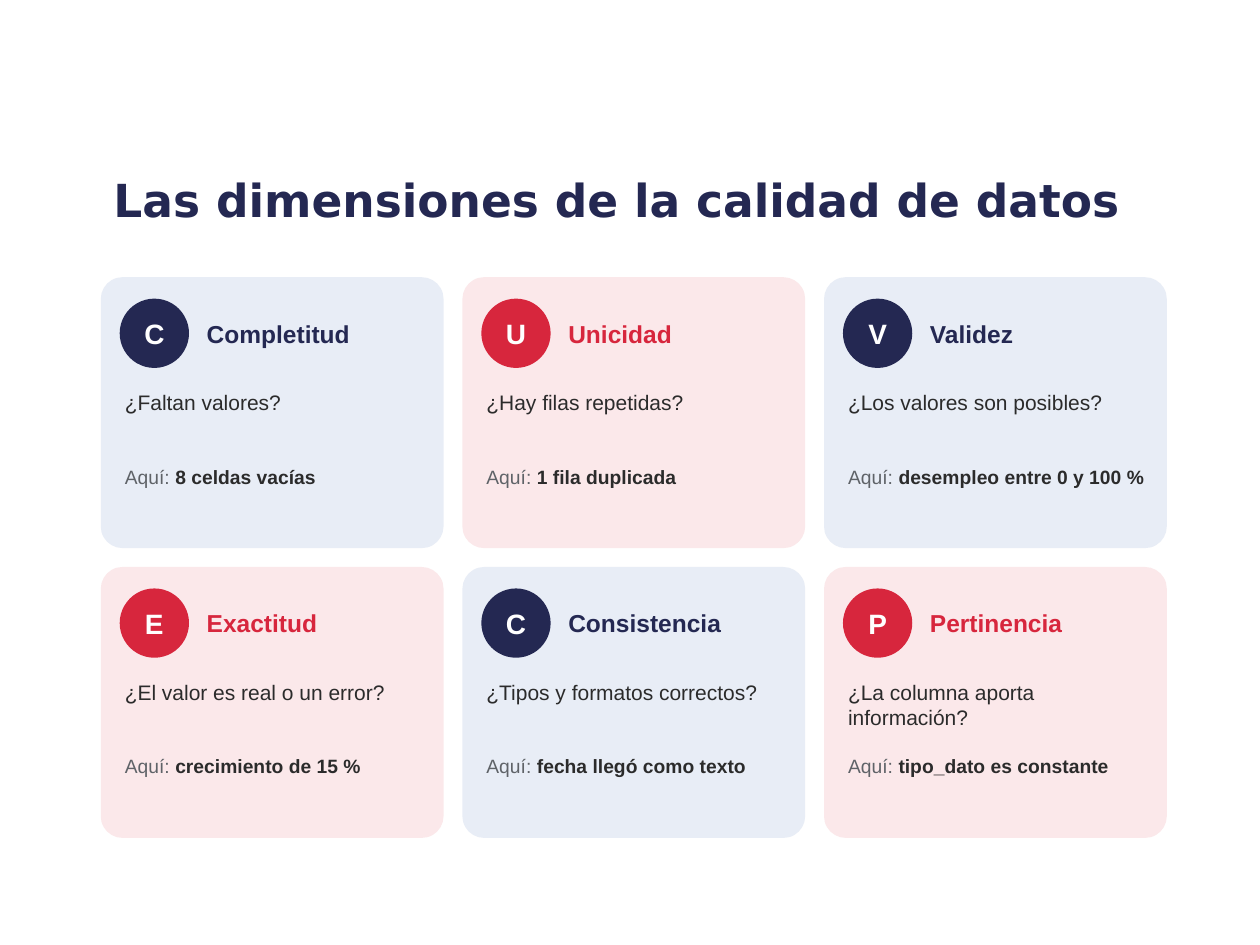
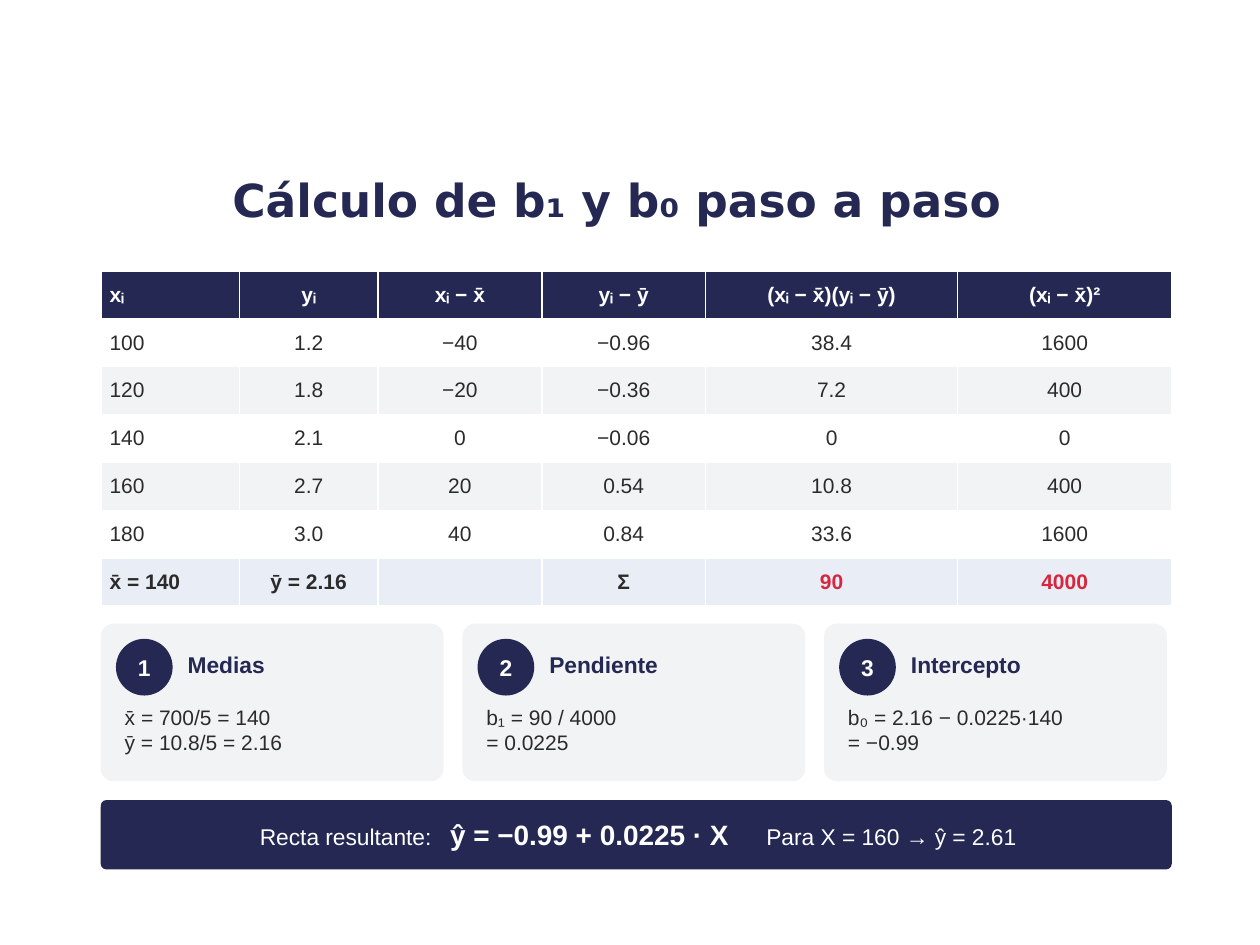
"""Build two slides: data quality dimensions and a step-by-step regression."""
import lxml.etree
import pptx
import pptx.dml.color
import pptx.enum.shapes
import pptx.enum.text
import pptx.oxml.ns
import pptx.util

RGB = pptx.dml.color.RGBColor
NAVY = RGB(0x24, 0x28, 0x52)
RED = RGB(0xD7, 0x26, 0x3D)
PALE_BLUE = RGB(0xE8, 0xED, 0xF6)
PALE_RED = RGB(0xFB, 0xE8, 0xEA)
PALE_GREY = RGB(0xF2, 0xF3, 0xF5)
GREY = RGB(0x5F, 0x63, 0x68)
INK = RGB(0x2B, 0x2B, 0x2B)
WHITE = RGB(0xFF, 0xFF, 0xFF)

QUALITY_TITLE = "Las dimensiones de la calidad de datos"
DIMENSIONS = [
    ("Completitud", "¿Faltan valores?", "8 celdas vacías"),
    ("Unicidad", "¿Hay filas repetidas?", "1 fila duplicada"),
    ("Validez", "¿Los valores son posibles?", "desempleo entre 0 y 100 %"),
    ("Exactitud", "¿El valor es real o un error?", "crecimiento de 15 %"),
    ("Consistencia", "¿Tipos y formatos correctos?", "fecha llegó como texto"),
    ("Pertinencia", "¿La columna aporta información?", "tipo_dato es constante"),
]

REGRESSION_TITLE = "Cálculo de b₁ y b₀ paso a paso"
CALCULATION = [
    ("xᵢ", "yᵢ", "xᵢ − x̄", "yᵢ − ȳ", "(xᵢ − x̄)(yᵢ − ȳ)", "(xᵢ − x̄)²"),
    ("100", "1.2", "−40", "−0.96", "38.4", "1600"),
    ("120", "1.8", "−20", "−0.36", "7.2", "400"),
    ("140", "2.1", "0", "−0.06", "0", "0"),
    ("160", "2.7", "20", "0.54", "10.8", "400"),
    ("180", "3.0", "40", "0.84", "33.6", "1600"),
    ("x̄ = 140", "ȳ = 2.16", "", "Σ", "90", "4000"),
]
COLUMN_WIDTHS = [110, 110, 130, 130, 200, 170]
ROW_HEIGHT = 38
STEPS = [
    ("Medias", "x̄ = 700/5 = 140", "ȳ = 10.8/5 = 2.16"),
    ("Pendiente", "b₁ = 90 / 4000", "= 0.0225"),
    ("Intercepto", "b₀ = 2.16 − 0.0225·140", "= −0.99"),
]
RESULT = ("Recta resultante:", "\tŷ = −0.99 + 0.0225 · X", "\tPara X = 160 → ŷ = 2.61")
RESULT_TABS = (151, 402)

LEFT = 80
CARD_WIDTH = 272
GAP = 15
COLUMNS = 3

ROUNDED = pptx.enum.shapes.MSO_SHAPE.ROUNDED_RECTANGLE
OVAL = pptx.enum.shapes.MSO_SHAPE.OVAL
ALIGN = pptx.enum.text.PP_ALIGN
MIDDLE = pptx.enum.text.MSO_ANCHOR.MIDDLE
GROW = pptx.enum.text.MSO_AUTO_SIZE.SHAPE_TO_FIT_TEXT


def px(length):
    return pptx.util.Emu(length * 9144)


def apply(target, values):
    for name, value in values.items():
        setattr(target, name, value)


def margins(horizontal, vertical):
    return {"margin_left": px(horizontal), "margin_right": px(horizontal),
            "margin_top": px(vertical), "margin_bottom": px(vertical)}


TITLE_FRAME = {"word_wrap": True, "vertical_anchor": MIDDLE, **margins(10, 5)}
BODY_FRAME = {"word_wrap": True, "auto_size": GROW, **margins(4, 4)}
HEADING_FRAME = {**BODY_FRAME, "vertical_anchor": MIDDLE}
BADGE_FRAME = {"word_wrap": True, "vertical_anchor": MIDDLE, **margins(0, 0)}
RESULT_FRAME = {"word_wrap": True, "vertical_anchor": MIDDLE, **margins(8, 8),
                "margin_left": px(125)}
CELL = {"vertical_anchor": MIDDLE, **margins(7, 3)}
CENTRED = {"alignment": ALIGN.CENTER}
LEFTWARD = {"alignment": ALIGN.LEFT}
BADGE_LINE = {**CENTRED, "space_after": pptx.util.Pt(3)}
RESULT_LINE = {**LEFTWARD, "space_after": pptx.util.Pt(3)}
CARD_LINE = {"space_after": pptx.util.Pt(4)}


def write(paragraph, runs, layout):
    apply(paragraph, layout)
    for text, size, color, bold, *face in runs:
        run = paragraph.add_run()
        run.text = text
        apply(run.font, {"size": pptx.util.Pt(size), "bold": bold,
                         "name": face[0] if face else "Arial"})
        run.font.color.rgb = color


def add_text(slide, box, lines, frame, layout):
    holder = slide.shapes.add_textbox(*map(px, box)).text_frame
    apply(holder, frame)
    for number, runs in enumerate(lines):
        paragraph = holder.add_paragraph() if number else holder.paragraphs[0]
        write(paragraph, runs, layout)


def add_block(slide, kind, box, color):
    block = slide.shapes.add_shape(kind, *map(px, box))
    block.shadow.inherit = False
    block.fill.solid()
    block.fill.fore_color.rgb = color
    block.line.fill.background()
    if kind == ROUNDED:
        block.adjustments[0] = 0.08
    return block


def add_badge(slide, box, symbol, size, color):
    holder = add_block(slide, OVAL, box, color).text_frame
    apply(holder, BADGE_FRAME)
    write(holder.paragraphs[0], [(symbol, size, WHITE, True)], BADGE_LINE)


def add_titled_slide(deck, title):
    slide = deck.slides.add_slide(deck.slide_layouts[6])
    add_text(slide, (75, 118, 830, 80), [[(title, 26, NAVY, True, "DejaVu Sans")]],
             TITLE_FRAME, CENTRED)
    return slide


def column_left(column):
    return LEFT + column * (CARD_WIDTH + GAP)


def add_dimension(slide, index, name, question, finding):
    row, column = divmod(index, COLUMNS)
    height = 215
    x, y = column_left(column), 220 + row * (height + GAP)
    accent, tint = ((NAVY, PALE_BLUE), (RED, PALE_RED))[index % 2]
    add_block(slide, ROUNDED, (x, y, CARD_WIDTH, height), tint)
    add_badge(slide, (x + 15, y + 17, 55, 55), name[0], 16, accent)
    add_text(slide, (x + 80, y + 17, 185, 55), [[(name, 14, accent, True)]],
             HEADING_FRAME, CARD_LINE)
    add_text(slide, (x + 15, y + 85, 245, 60), [[(question, 12, INK, False)]],
             BODY_FRAME, CARD_LINE)
    add_text(slide, (x + 15, y + 145, 245, 60),
             [[("Aquí: ", 11, GREY, False), (finding, 11, INK, True)]],
             BODY_FRAME, CARD_LINE)


def add_calculation(slide):
    last = len(CALCULATION) - 1
    box = (LEFT, 215, sum(COLUMN_WIDTHS), ROW_HEIGHT * len(CALCULATION))
    grid = slide.shapes.add_table(len(CALCULATION), len(COLUMN_WIDTHS), *map(px, box)).table
    for column, width in zip(grid.columns, COLUMN_WIDTHS):
        column.width = px(width)
    for r, values in enumerate(CALCULATION):
        fill = {0: NAVY, last: PALE_BLUE}.get(r, WHITE if r % 2 else PALE_GREY)
        for c, value in enumerate(values):
            cell = grid.cell(r, c)
            apply(cell, CELL)
            cell.fill.solid()
            cell.fill.fore_color.rgb = fill
            color = WHITE if r == 0 else RED if r == last and c >= 4 else INK
            if value:
                write(cell.text_frame.paragraphs[0], [(value, 12, color, r in (0, last))],
                      CENTRED if c else LEFTWARD)


def add_step(slide, index, name, *formulas):
    x, y = column_left(index), 495
    add_block(slide, ROUNDED, (x, y, CARD_WIDTH, 125), PALE_GREY)
    add_badge(slide, (x + 12, y + 12, 45, 45), str(index + 1), 13, NAVY)
    add_text(slide, (x + 65, y + 10, 200, 45), [[(name, 13, NAVY, True)]],
             HEADING_FRAME, CARD_LINE)
    add_text(slide, (x + 15, y + 60, 250, 65),
             [[(formula, 12, INK, False)] for formula in formulas], BODY_FRAME, {})


def add_result(slide):
    box = (LEFT, 635, sum(COLUMN_WIDTHS), 55)
    holder = add_block(slide, ROUNDED, box, NAVY).text_frame
    apply(holder, RESULT_FRAME)
    line = holder.paragraphs[0]
    qn = pptx.oxml.ns.qn
    stops = lxml.etree.SubElement(line._p.get_or_add_pPr(), qn("a:tabLst"))
    for position in RESULT_TABS:
        lxml.etree.SubElement(stops, qn("a:tab"), pos=str(px(position)), algn="l")
    label, equation, forecast = RESULT
    write(line, [(label, 13, WHITE, False), (equation, 16, WHITE, True),
                 (forecast, 13, WHITE, False)], RESULT_LINE)


def main():
    deck = pptx.Presentation()
    apply(deck, {"slide_width": px(1000), "slide_height": px(750)})

    quality = add_titled_slide(deck, QUALITY_TITLE)
    for index, dimension in enumerate(DIMENSIONS):
        add_dimension(quality, index, *dimension)

    regression = add_titled_slide(deck, REGRESSION_TITLE)
    add_calculation(regression)
    for index, step in enumerate(STEPS):
        add_step(regression, index, *step)
    add_result(regression)

    deck.save("out.pptx")


if __name__ == "__main__":
    main()
